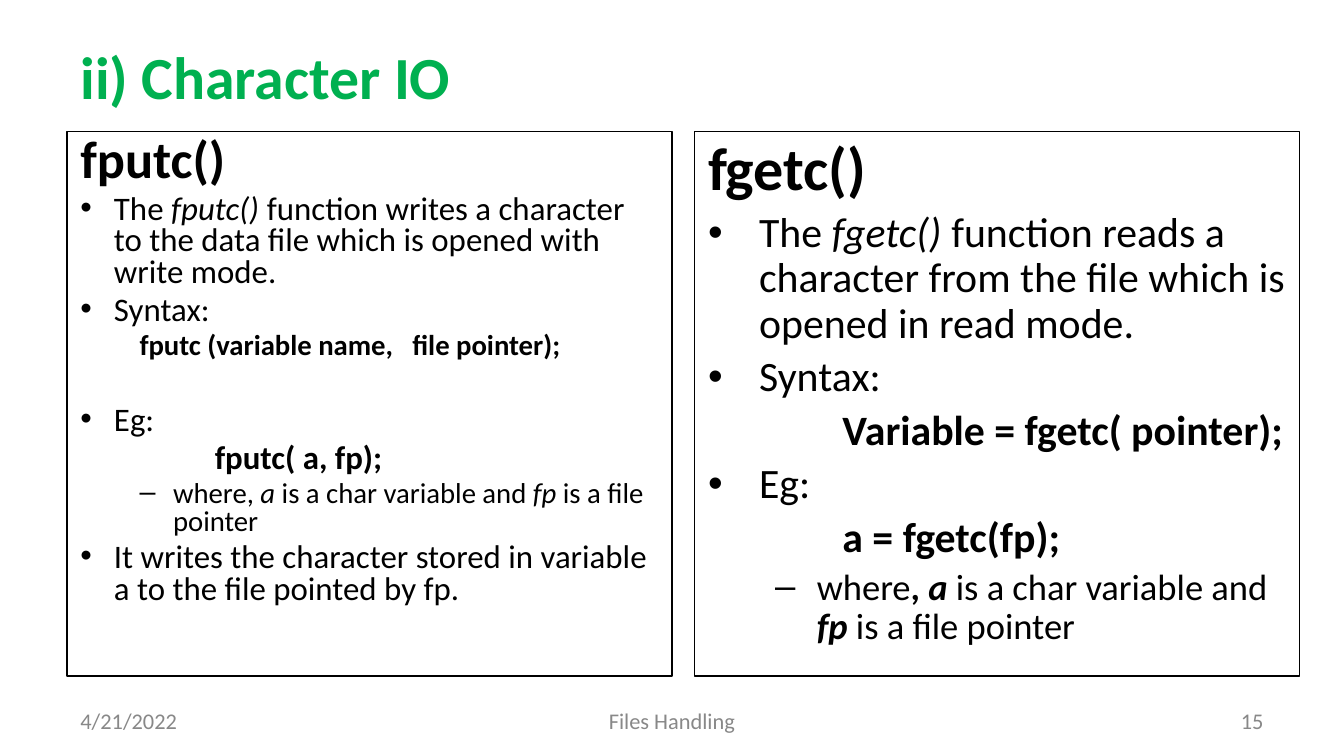
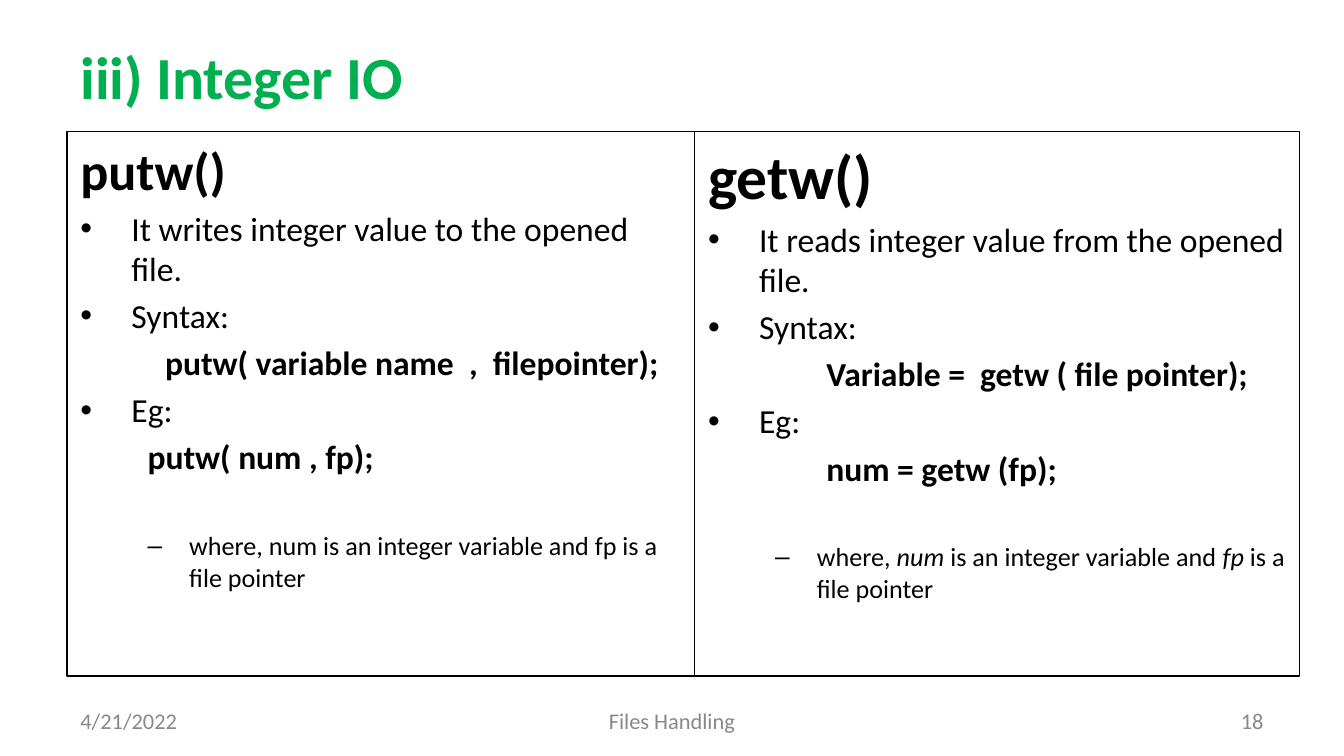
from dataclasses import dataclass

from lxml.etree import SubElement
from pptx import Presentation
from pptx.dml.color import RGBColor as Rgb
from pptx.enum.shapes import MSO_SHAPE as Form
from pptx.enum.text import MSO_ANCHOR as Anchor, PP_ALIGN as Align
from pptx.oxml.ns import qn
from pptx.util import Inches, Pt


@dataclass(frozen=True)
class Theme:
    face: str = "Calibri"
    green: Rgb = Rgb(0x00, 0xB0, 0x50)
    ink: Rgb = Rgb(0, 0, 0)
    grey: Rgb = Rgb(0x88, 0x88, 0x88)
    title: float = 32
    foot: float = 12
    rule: float = 0.75


@dataclass(frozen=True)
class Scale:
    """Type sizes and gaps in points, indents in inches, for one panel."""
    head: float
    body: float
    note: float
    gap: float
    tight: float
    line: float = 1.0
    item: float = 0.38
    sub: float = 0.81
    hang: float = 0.31


@dataclass(frozen=True)
class Line:
    """One paragraph: *...* is italic, _..._ is bold, skip is extra space above."""
    text: str
    left: float = 0
    skip: float = 0


class Head(Line):
    pass


class Item(Line):
    pass


class Code(Line):
    pass


class Call(Code):
    """Code in the smaller type size."""


class Note(Line):
    pass


@dataclass(frozen=True)
class Panel:
    box: tuple
    scale: Scale
    lines: tuple


THEME = Theme()
WIDTH = Inches(10)
HEIGHT = WIDTH * 9 // 16
TITLE = (0.5, 0.23, 9, 0.67)
TOP, TALL = 0.98, 4.05
LEFT = (0.5, TOP, 4.5, TALL)
WIDE = (0.5, TOP, 4.67, TALL)
RIGHT = (5.17, TOP, 4.5, TALL)
FOOT = (0.5, 5.21, 9, 0.3)

SMALL = Scale(28.1, 17.6, 15.4, 3.5, 3.1, 0.8, 0.25, 0.69, 0.25)
LARGE = Scale(32.2, 22.4, 19.6, 4.5, 3.9, 0.9)
PUT = Scale(28, 18, 14, 3.6, 2.8)
GET = Scale(33, 18, 14, 3.6, 2.8)

PAGES = (
    ("ii) Character IO", 15, (
        Panel(LEFT, SMALL, (
            Head("fputc()"),
            Item("The *fputc() *function writes a character to the data file "
                 "which is opened with write mode."),
            Item("Syntax:"),
            Call("fputc (variable name,   file pointer);", 0.44),
            Item("Eg:", skip=20.7),
            Code("fputc( a, fp);", 1),
            Note("where, *a* is a char variable and *fp* is a file pointer"),
            Item("It writes the character stored in variable a to the file "
                 "pointed by fp."),
        )),
        Panel(RIGHT, LARGE, (
            Head("fgetc()"),
            Item("The *fgetc() *function reads a character from the file "
                 "which is opened in read mode."),
            Item("Syntax:"),
            Code("Variable = fgetc( pointer);", 1),
            Item("Eg:"),
            Code("a = fgetc(fp);", 1),
            Note("where_, *a*_ is a char variable and _*fp*_ is a file pointer"),
        )),
    )),
    ("iii) Integer IO", 18, (
        Panel(WIDE, PUT, (
            Head("putw()"),
            Item("It writes integer value to the opened file."),
            Item("Syntax:"),
            Code("putw( variable name  ,  filepointer);", 0.63),
            Item("Eg:"),
            Code("putw( num , fp);", 0.5),
            Note("where, num is an integer variable and fp is a file pointer",
                 skip=25.6),
        )),
        Panel(RIGHT, GET, (
            Head("getw()"),
            Item("It reads integer value from the opened file."),
            Item("Syntax:"),
            Code("Variable =  getw ( file pointer);", 0.88),
            Item("Eg:"),
            Code("num = getw (fp);", 0.88),
            Note("where, *num *is an integer variable and *fp *is a file pointer",
                 skip=25.6),
        )),
    )),
)


def style(para, size, tint, bold=None):
    font = para.font
    font.name, font.size, font.bold = THEME.face, Pt(size), bold
    font.color.rgb = tint


def label(slide, box, text, size, tint, align=Align.LEFT, bold=None):
    frame = slide.shapes.add_textbox(*map(Inches, box)).text_frame
    frame.word_wrap = True
    frame.vertical_anchor = Anchor.MIDDLE
    para = frame.paragraphs[0]
    para.text, para.alignment = text, align
    style(para, size, tint, bold)


def indent(para, left, hang=0, mark=None):
    props = para._p.get_or_add_pPr()
    props.set("marL", str(Inches(left)))
    props.set("indent", str(-Inches(hang)))
    if mark:
        SubElement(props, qn("a:buFont"), typeface="Arial")
        SubElement(props, qn("a:buChar"), char=mark)
    else:
        SubElement(props, qn("a:buNone"))


def fill(para, text):
    """Turn the bold and italic marks of a line into runs."""
    for i, part in enumerate(text.split("_")):
        for j, bit in enumerate(part.split("*")):
            if bit:
                run = para.add_run()
                run.text = bit
                if i % 2:
                    run.font.bold = True
                if j % 2:
                    run.font.italic = True


def write(para, line, scale, first):
    small = isinstance(line, (Call, Note))
    size = scale.note if small else scale.body
    para.alignment = Align.LEFT
    para.line_spacing = scale.line
    if not first:
        para.space_before = Pt((scale.tight if small else scale.gap) + line.skip)
    if isinstance(line, Item):
        indent(para, scale.item, scale.item, "•")
    elif isinstance(line, Note):
        para.level = 1
        indent(para, scale.sub, scale.hang, "–")
    else:
        indent(para, line.left)
    if isinstance(line, Head):
        size = scale.head
    fill(para, line.text)
    style(para, size, THEME.ink, isinstance(line, (Head, Code)))


def draw(slide, panel):
    shape = slide.shapes.add_shape(Form.RECTANGLE, *map(Inches, panel.box))
    shape.shadow.inherit = False
    shape.fill.background()
    shape.line.color.rgb = THEME.ink
    shape.line.width = Pt(THEME.rule)
    frame = shape.text_frame
    frame.word_wrap = True
    frame.vertical_anchor = Anchor.TOP
    for i, line in enumerate(panel.lines):
        para = frame.add_paragraph() if i else frame.paragraphs[0]
        write(para, line, panel.scale, i == 0)


def foot(slide, box, page):
    left, top, width, tall = box
    side, mid = 2.33, 3.17
    parts = (
        (left, side, "4/21/2022", Align.LEFT),
        (left + (width - mid) / 2, mid, "Files Handling", Align.CENTER),
        (left + width - side, side, str(page), Align.RIGHT),
    )
    for x, wide, text, align in parts:
        label(slide, (x, top, wide, tall), text, THEME.foot, THEME.grey, align)


def main():
    deck = Presentation()
    deck.slide_width, deck.slide_height = WIDTH, HEIGHT
    for title, page, panels in PAGES:
        slide = deck.slides.add_slide(deck.slide_layouts[6])
        label(slide, TITLE, title, THEME.title, THEME.green, bold=True)
        for panel in panels:
            draw(slide, panel)
        foot(slide, FOOT, page)
    deck.save("out.pptx")


if __name__ == "__main__":
    main()
